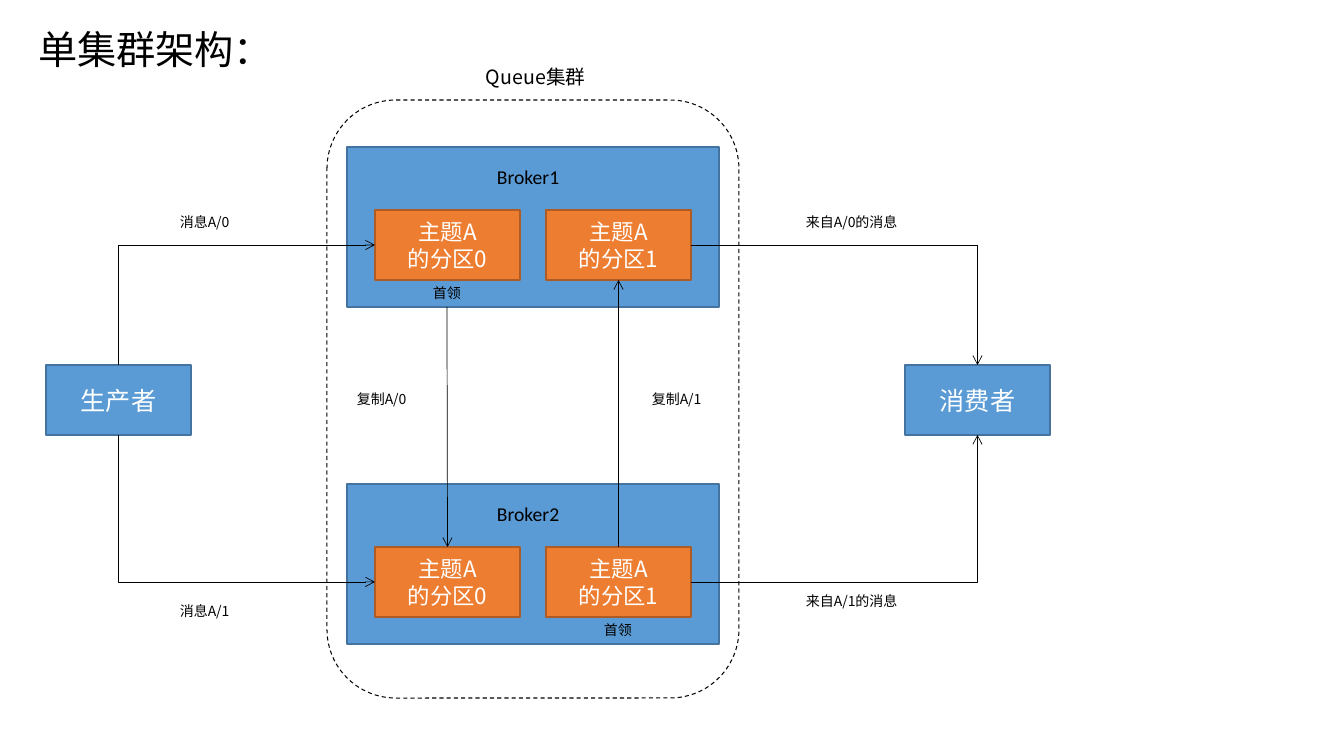
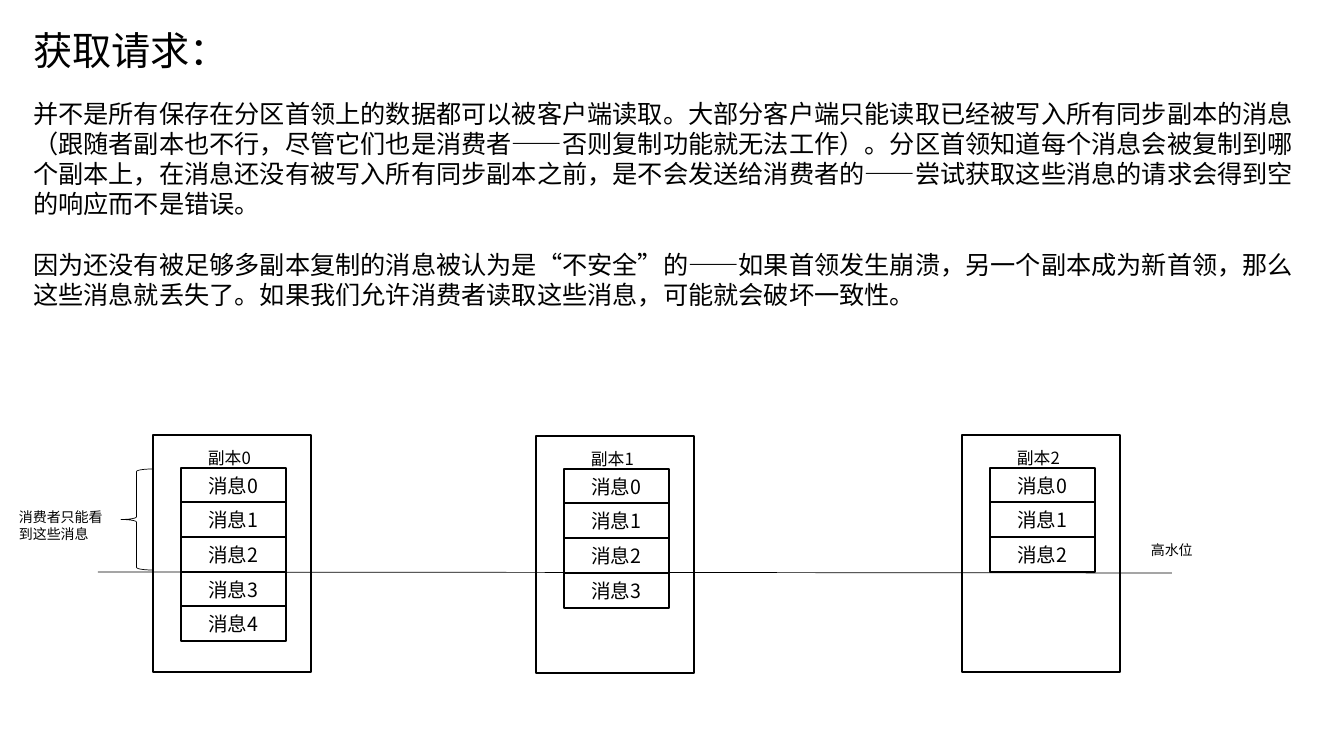
from dataclasses import dataclass

from pptx import Presentation
from pptx.dml.color import RGBColor
from pptx.enum.dml import MSO_LINE
from pptx.enum.shapes import MSO_CONNECTOR, MSO_SHAPE
from pptx.enum.text import MSO_ANCHOR, MSO_AUTO_SIZE, PP_ALIGN
from pptx.oxml.ns import qn
from pptx.util import Pt

EMU_PER_PIXEL = 914400 / 100.8
RECTANGLE = MSO_SHAPE.RECTANGLE
ROUNDED = MSO_SHAPE.ROUNDED_RECTANGLE
BRACE = MSO_SHAPE.LEFT_BRACE
STRAIGHT, ELBOW = MSO_CONNECTOR.STRAIGHT, MSO_CONNECTOR.ELBOW
DASH = MSO_LINE.DASH
LEFT, CENTER = PP_ALIGN.LEFT, PP_ALIGN.CENTER
TOP, MIDDLE = MSO_ANCHOR.TOP, MSO_ANCHOR.MIDDLE
NO_AUTOFIT = MSO_AUTO_SIZE.NONE
SITE_TOP, SITE_LEFT, SITE_BOTTOM, SITE_RIGHT = range(4)
TITLE_ONLY, TITLE_AND_CONTENT = 5, 1


@dataclass(frozen=True)
class Theme:
    black: str = "000000"
    white: str = "FFFFFF"
    blue: str = "5B9BD5"
    blue_edge: str = "43739E"
    orange: str = "ED7D31"
    orange_edge: str = "AF5C24"
    font: str = "Noto Sans CJK JP"
    latin_font: str = "Calibri"
    title: int = 28
    body: int = 18
    partition: int = 16
    heading: int = 14
    caption: int = 12
    note: int = 10
    leading: float = 1.2
    thin: float = 0.5
    dashed: float = 0.75
    edge: float = 1


THEME = Theme()


def px(value):
    return round(value * EMU_PER_PIXEL)


def color(value):
    return RGBColor.from_string(value)


def place(shape, box):
    shape.left, shape.top, shape.width, shape.height = map(px, box)


def write(shape, text, size, ink=THEME.black, align=LEFT, anchor=TOP, font=THEME.font):
    frame = shape.text_frame
    frame.text = text
    frame.word_wrap = True
    frame.auto_size = NO_AUTOFIT
    frame.vertical_anchor = anchor
    for paragraph in frame.paragraphs:
        paragraph.alignment = align
        paragraph.line_spacing = Pt(size * THEME.leading)
        paragraph.space_before = Pt(0)
        for run in paragraph.runs:
            run.font.size = Pt(size)
            run.font.name = font
            run.font.color.rgb = color(ink)
            properties = run.font._element
            properties.set("lang", "zh-CN")
            east_asian = properties.makeelement(qn("a:ea"), {"typeface": font})
            properties.find(qn("a:latin")).addnext(east_asian)


def add_title(slide, text, left, top):
    place(slide.shapes.title, (left, top, 559, 57))
    write(slide.shapes.title, text, THEME.title)


def add_body(slide, text, box):
    body = slide.placeholders[1]
    place(body, box)
    write(body, text, THEME.body)
    for paragraph in body.text_frame.paragraphs:
        properties = paragraph._p.get_or_add_pPr()
        properties.set("marL", "0")
        properties.set("indent", "0")
        properties.append(properties.makeelement(qn("a:buNone"), {}))
    body.text_frame.paragraphs[-1].space_before = Pt(THEME.body * THEME.leading)


def add_label(slide, text, box, size=THEME.note, font=THEME.font):
    label = slide.shapes.add_textbox(*map(px, box))
    write(label, text, size, font=font)
    label.text_frame.margin_right = 0
    return label


def add_box(slide, box, fill=THEME.white, edge=THEME.black, kind=RECTANGLE, width=THEME.edge):
    shape = slide.shapes.add_shape(kind, *map(px, box))
    shape.shadow.inherit = False
    if fill:
        shape.fill.solid()
        shape.fill.fore_color.rgb = color(fill)
    else:
        shape.fill.background()
    shape.line.color.rgb = color(edge)
    shape.line.width = Pt(width)
    return shape


def add_text_box(slide, box, text, size, fill, edge, ink=THEME.white):
    shape = add_box(slide, box, fill, edge)
    write(shape, text, size, ink, CENTER, MIDDLE)
    return shape


def add_line(slide, kind, start=(0, 0), end=(0, 0)):
    line = slide.shapes.add_connector(kind, *map(px, (*start, *end)))
    line.line.color.rgb = color(THEME.black)
    line.line.width = Pt(THEME.thin)
    properties = line._element.spPr
    properties.append(properties.makeelement(qn("a:effectLst"), {}))
    return line


def connect(slide, kind, source, source_site, target, target_site, arrow_end="a:tailEnd"):
    line = add_line(slide, kind)
    line.begin_connect(source, source_site)
    line.end_connect(target, target_site)
    if kind == ELBOW:
        line._element.spPr.find(qn("a:prstGeom")).set("prst", "bentConnector2")
    outline = line.line._get_or_add_ln()
    outline.append(outline.makeelement(qn(arrow_end), {"type": "arrow"}))


def add_broker(slide, left, top, name, leader):
    add_box(slide, (left, top, 372, 160), THEME.blue, THEME.blue_edge)
    add_label(slide, name, (left + 140, top + 13, 92, 34), THEME.heading, THEME.latin_font)
    partitions = [
        add_text_box(slide, (left + 28 + 171 * index, top + 63, 145, 70),
                     f"主题A\n的分区{index}", THEME.partition, THEME.orange, THEME.orange_edge)
        for index in range(2)
    ]
    leader_label = add_label(slide, "首领", (left + 76 + 171 * leader, top + 133, 48, 27))
    return partitions, leader_label


def add_client(slide, left, top, name):
    return add_text_box(slide, (left, top, 145, 70), name, THEME.body, THEME.blue, THEME.blue_edge)


def build_cluster_slide(presentation):
    slide = presentation.slides.add_slide(presentation.slide_layouts[TITLE_ONLY])
    add_title(slide, "单集群架构：", 28, 20)
    cluster = add_box(slide, (327, 100, 412, 598), kind=ROUNDED, width=THEME.dashed)
    cluster.line.dash_style = DASH
    add_label(slide, "Queue集群", (476, 60, 118, 34), THEME.heading)
    upper, leader_label = add_broker(slide, 347, 147, "Broker1", 0)
    lower, _ = add_broker(slide, 347, 484, "Broker2", 1)
    producer = add_client(slide, 46, 365, "生产者")
    consumer = add_client(slide, 905, 365, "消费者")

    connect(slide, STRAIGHT, leader_label, SITE_BOTTOM, lower[0], SITE_TOP)
    connect(slide, STRAIGHT, lower[1], SITE_TOP, upper[1], SITE_BOTTOM)
    for partitions, client_site in ((upper, SITE_TOP), (lower, SITE_BOTTOM)):
        connect(slide, ELBOW, partitions[0], SITE_LEFT, producer, client_site, "a:headEnd")
        connect(slide, ELBOW, partitions[1], SITE_RIGHT, consumer, client_site)

    for text, left, top, width in (
        ("复制A/0", 347, 386, 77),
        ("复制A/1", 642, 386, 77),
        ("消息A/0", 170, 209, 77),
        ("消息A/1", 170, 598, 77),
        ("来自A/0的消息", 796, 209, 128),
        ("来自A/1的消息", 796, 588, 128),
    ):
        add_label(slide, text, (left, top, width, 27))


def add_replica(slide, left, top, number, message_count):
    add_box(slide, (left, top, 158, 237))
    add_label(slide, f"副本{number}", (left + 45, top + 8, 71, 30), THEME.caption)
    for index in range(message_count):
        add_text_box(slide, (left + 28, top + 33 + 104 * index // 3, 105, 35),
                     f"消息{index}", THEME.heading, THEME.white, THEME.black, THEME.black)


def build_fetch_slide(presentation):
    slide = presentation.slides.add_slide(presentation.slide_layouts[TITLE_AND_CONTENT])
    add_title(slide, "获取请求：", 23, 21)
    add_body(
        slide,
        "并不是所有保存在分区首领上的数据都可以被客户端读取。大部分客户端只能读取已经被写入所有同步副本的消息"
        "（跟随者副本也不行，尽管它们也是消费者——否则复制功能就无法工作）。分区首领知道每个消息会被复制到哪"
        "个副本上，在消息还没有被写入所有同步副本之前，是不会发送给消费者的——尝试获取这些消息的请求会得到空"
        "的响应而不是错误。\n"
        "因为还没有被足够多副本复制的消息被认为是“不安全”的——如果首领发生崩溃，另一个副本成为新首领，那么"
        "这些消息就丢失了。如果我们允许消费者读取这些消息，可能就会破坏一致性。",
        (23, 93, 1301, 224),
    )
    replicas = ((153, 435, 5), (536, 436, 4), (962, 435, 3))
    for number, (left, top, message_count) in enumerate(replicas):
        add_replica(slide, left, top, number, message_count)
    add_line(slide, STRAIGHT, (98, 572), (1172, 573))
    add_label(slide, "高水位", (1141, 537, 107, 27))
    add_box(slide, (121, 469, 31, 101), fill=None, kind=BRACE, width=THEME.thin)
    add_label(slide, "消费者只能看到这些消息", (9, 504, 107, 44))


def main():
    presentation = Presentation()
    presentation.slide_width, presentation.slide_height = px(1344), px(756)
    build_cluster_slide(presentation)
    build_fetch_slide(presentation)
    presentation.save("out.pptx")


main()
